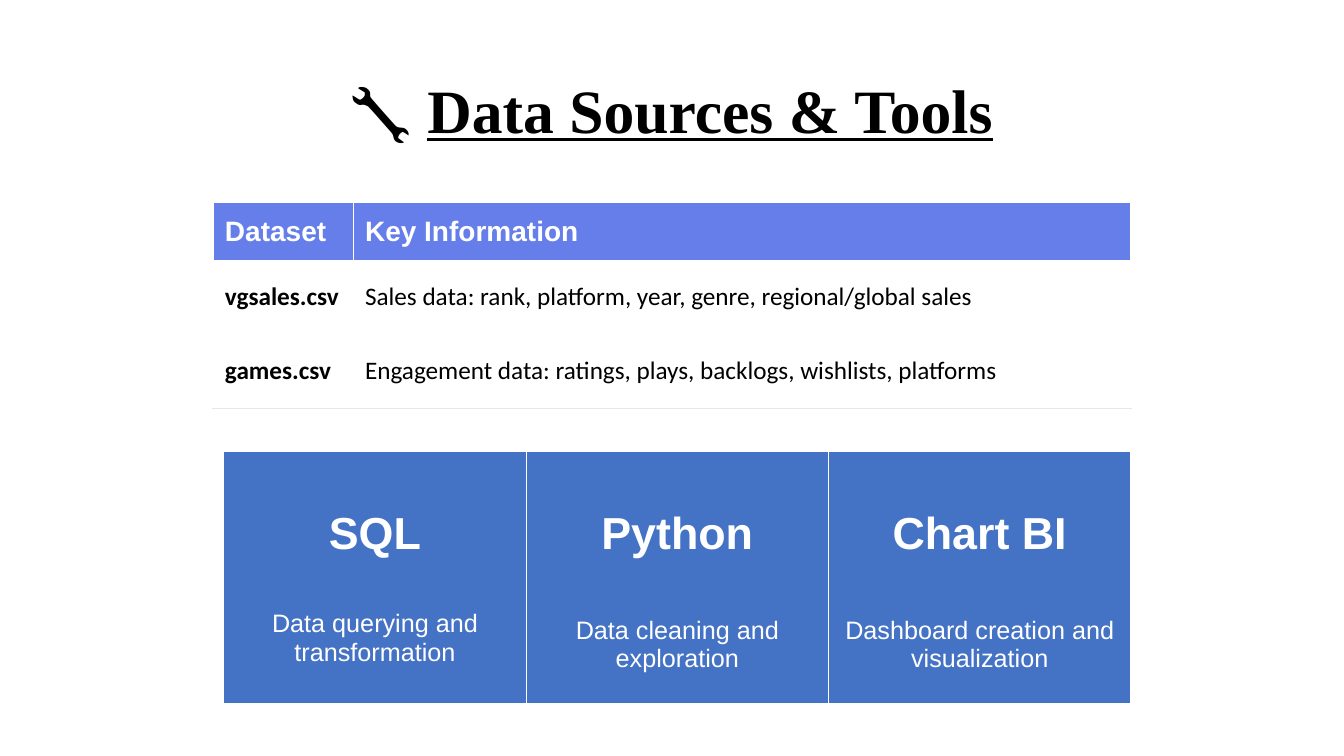
import pptx
import pptx.util
import pptx.dml.color
import pptx.enum.text
from lxml import etree
from pptx.oxml.ns import qn

Cm, Pt = pptx.util.Cm, pptx.util.Pt
RGBColor = pptx.dml.color.RGBColor
PP_ALIGN = pptx.enum.text.PP_ALIGN
MSO_ANCHOR = pptx.enum.text.MSO_ANCHOR

BLACK = RGBColor(0x00, 0x00, 0x00)
WHITE = RGBColor(0xFF, 0xFF, 0xFF)
HEADER = RGBColor(0x66, 0x7E, 0xEA)
RULE = RGBColor(0xE2, 0xE8, 0xF0)
TILE = RGBColor(0x44, 0x72, 0xC4)

DATASETS = [
    ("Dataset", "Key Information"),
    ("vgsales.csv", "Sales data: rank, platform, year, genre, regional/global sales"),
    ("games.csv", "Engagement data: ratings, plays, backlogs, wishlists, platforms"),
]
# Name, purpose, gap between them in points
TOOLS = [
    ("SQL", "Data querying and transformation", 36.8),
    ("Python", "Data cleaning and exploration", 41.4),
    ("Chart BI", "Dashboard creation and visualization", 41.4),
]


def set_font(p, name, size, color, bold=False):
    p.font.name = name
    p.font.size = Pt(size)
    p.font.color.rgb = color
    p.font.bold = bold


def style_cell(cell, fill, border, width, sides):
    """Draw the borders named in sides (in the order L, R, T, B), then fill."""
    tc_pr = cell._tc.get_or_add_tcPr()
    for side in sides:
        ln = etree.SubElement(tc_pr, qn(f"a:ln{side}"), w=str(Pt(width)))
        solid = etree.SubElement(ln, qn("a:solidFill"))
        etree.SubElement(solid, qn("a:srgbClr"), val=str(border))
    cell.fill.solid()
    cell.fill.fore_color.rgb = fill


def add_plain_table(s, left, top, widths, heights):
    shape = s.shapes.add_table(len(heights), len(widths), left, top,
                               sum(widths), sum(heights))
    table = shape.table
    table.first_row = table.horz_banding = False
    for column, width in zip(table.columns, widths):
        column.width = width
    for row, height in zip(table.rows, heights):
        row.height = height
    return table


def add_title(s, left, top, width, height):
    tf = s.shapes.add_textbox(left, top, width, height).text_frame
    tf.word_wrap = True
    tf.vertical_anchor = MSO_ANCHOR.MIDDLE
    p = tf.paragraphs[0]
    p.alignment = PP_ALIGN.CENTER
    p.line_spacing = 0.9
    set_font(p, "Times New Roman", 44, BLACK, True)
    p.add_run().text = "🔧 "
    r = p.add_run()
    r.text = "Data Sources & Tools"
    r.font.underline = True


def add_datasets(s, left, top, width):
    name_width = Cm(3.53)
    table = add_plain_table(s, left, top, [name_width, width - name_width],
                            [Cm(1.42), Cm(1.86), Cm(1.86)])
    for i, row in enumerate(DATASETS):
        for j, text in enumerate(row):
            cell = table.cell(i, j)
            cell.vertical_anchor = MSO_ANCHOR.MIDDLE
            cell.margin_left = cell.margin_right = Cm(0.3)
            cell.margin_top = cell.margin_bottom = Cm(0.3)
            style_cell(cell, WHITE if i else HEADER, RULE, 0.6, "B")
            p = cell.text_frame.paragraphs[0]
            p.text = text
            if i == 0:
                set_font(p, "Arial", 20, WHITE, True)
            else:
                set_font(p, "Calibri", 18, BLACK, j == 0)


def add_tools(s, left, top, width, height):
    table = add_plain_table(s, left, top, [width // len(TOOLS)] * len(TOOLS), [height])
    for j, (name, purpose, gap) in enumerate(TOOLS):
        cell = table.cell(0, j)
        cell.margin_top = Cm(1.43)
        style_cell(cell, TILE, WHITE, 1, "LRTB")
        tf = cell.text_frame
        heading, detail = tf.paragraphs[0], tf.add_paragraph()
        heading.text, detail.text = name, purpose
        heading.alignment = detail.alignment = PP_ALIGN.CENTER
        set_font(heading, "Arial", 32, WHITE, True)
        set_font(detail, "Arial", 18, WHITE)
        detail.space_before = Pt(gap)


def main():
    prs = pptx.Presentation()
    prs.slide_width, prs.slide_height = Cm(33.87), Cm(19.05)
    s = prs.slides.add_slide(prs.slide_layouts[6])
    add_title(s, Cm(2.33), Cm(1.01), Cm(29.21), Cm(3.68))
    add_datasets(s, Cm(5.37), Cm(5.11), Cm(23.13))
    add_tools(s, Cm(5.64), Cm(11.38), Cm(22.86), Cm(6.35))
    prs.save("out.pptx")


if __name__ == "__main__":
    main()
